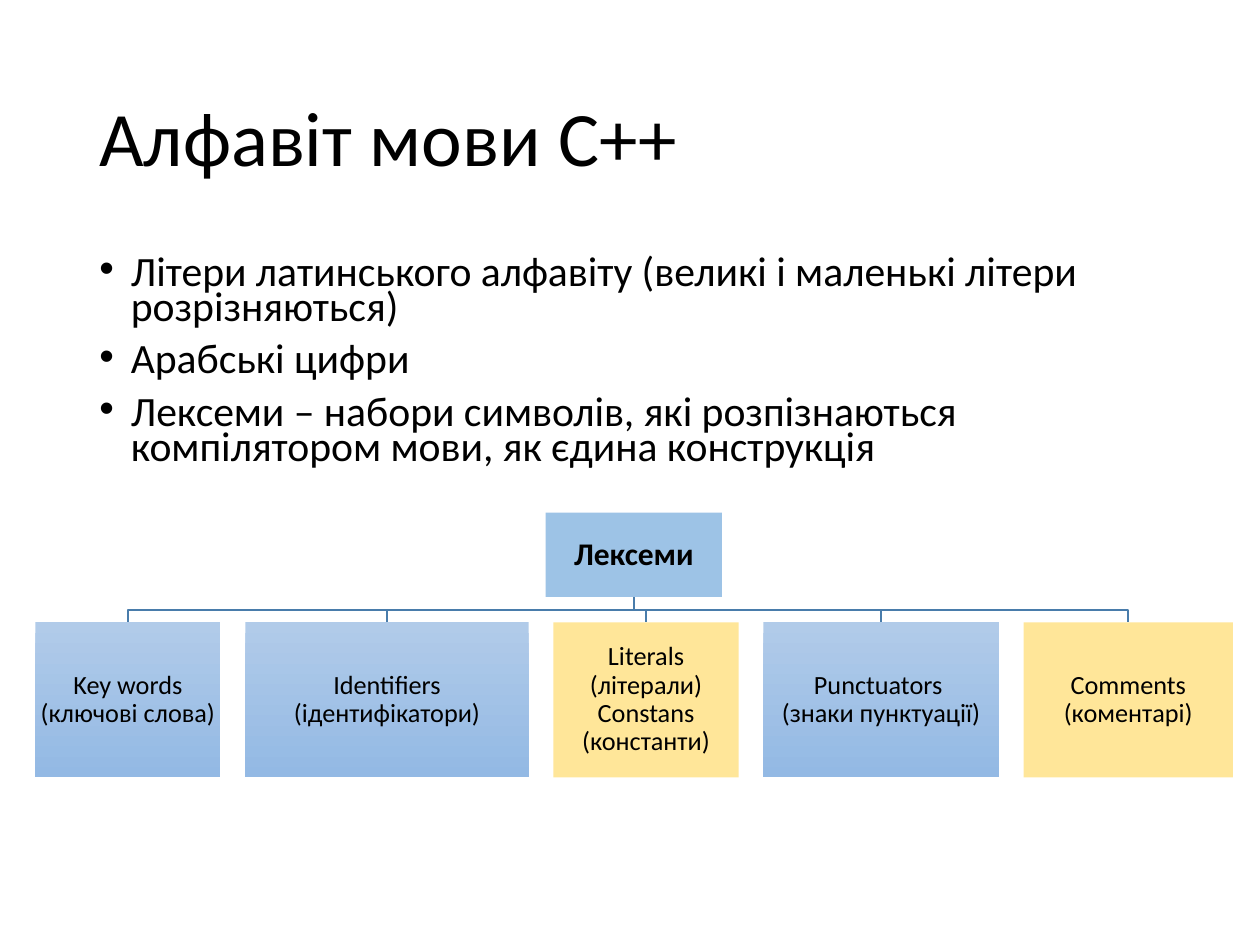
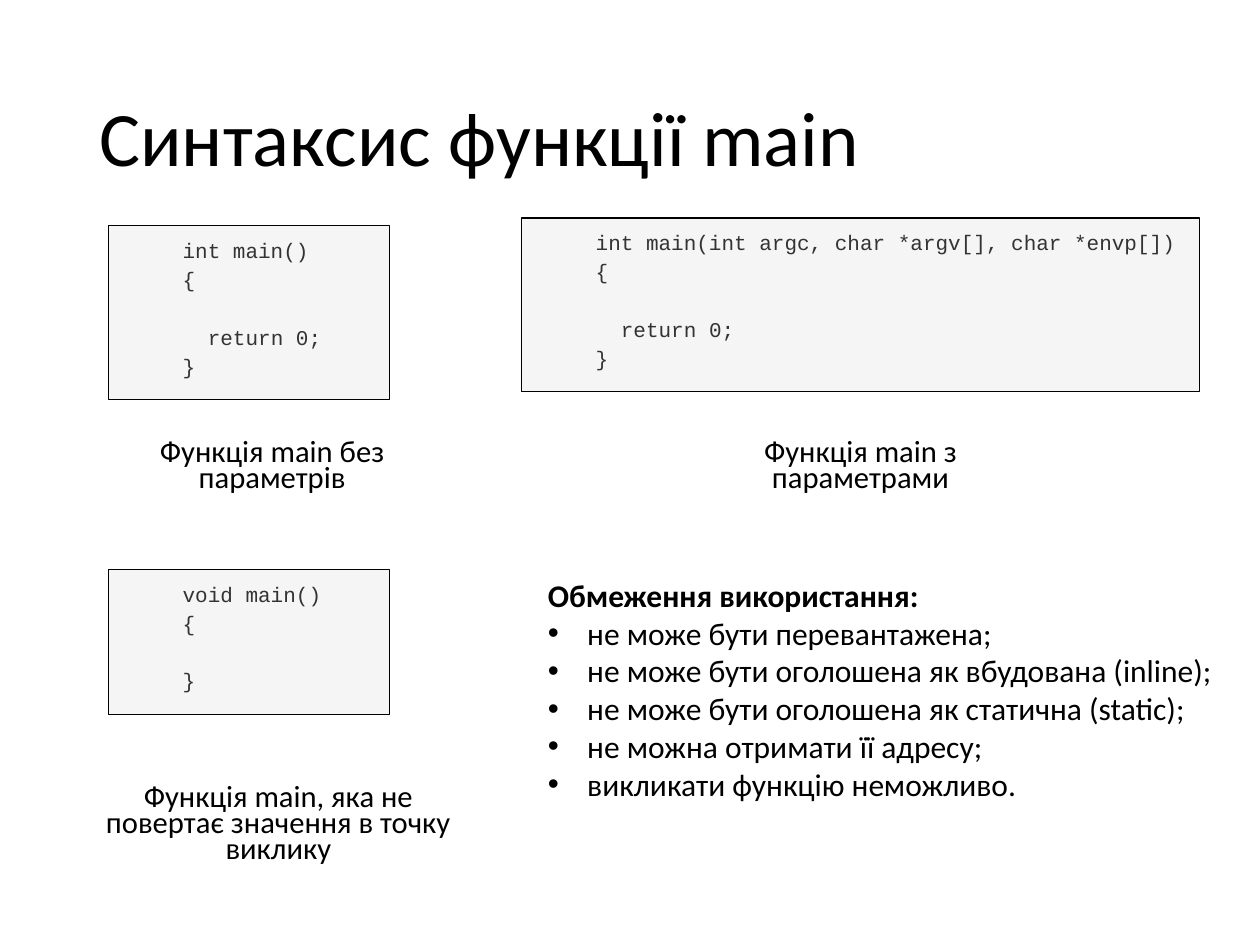
from lxml.etree import SubElement
from pptx import Presentation
from pptx.dml.color import RGBColor
from pptx.enum.shapes import MSO_SHAPE as Kind
from pptx.enum.text import MSO_ANCHOR as Anchor, PP_ALIGN as Align
from pptx.oxml.ns import qn
from pptx.util import Pt

FONT, MONO = "Calibri", "Courier New"
BLACK, CODE, PALE, EDGE = "000000", "333333", "F5F5F5", "497CAB"
ROOT, GOLD, BLUES = "9DC3E6", "FFE699", ("B1CBE9", "93B9E4")
STEP, CHAR = 16.5, 7.2  # line height and letter width of the code


def color(code):
    return RGBColor.from_string(code)


def text(frame, lines, size=18, font=FONT, ink=BLACK, bold=False,
         align=Align.LEFT, lead=1.0, before=0, left=0, hang=0, dot=False):
    """Add one paragraph for each line; left and hang are its indents."""
    for line in lines:
        para = frame.paragraphs[-1]
        if para.runs:
            para = frame.add_paragraph()
        para.text = line
        para.alignment, para.line_spacing = align, lead
        para.space_before = Pt(before)
        props = para._p.get_or_add_pPr()
        props.set("marL", str(Pt(left)))
        props.set("indent", str(Pt(hang)))
        if dot:
            SubElement(props, qn("a:buFont"), typeface="Arial")
            SubElement(props, qn("a:buChar"), char="•")
        for run in para.runs:
            run.font.size, run.font.name = Pt(size), font
            run.font.bold = bold
            run.font.color.rgb = color(ink)


def area(slide, x, y, wide, high, anchor=Anchor.TOP):
    """Add an empty text box and return its frame."""
    frame = slide.shapes.add_textbox(Pt(x), Pt(y), Pt(wide), Pt(high)).text_frame
    frame.word_wrap = True
    frame.vertical_anchor = anchor
    return frame


def title(slide, words):
    frame = area(slide, 49.7, 28.8, 620.6, 104.4, Anchor.MIDDLE)
    text(frame, [words], size=44, lead=0.9)


def box(slide, x, y, wide, high, fill, line=None):
    """Add a filled rectangle; a pair of fills makes a downward gradient."""
    shape = slide.shapes.add_shape(Kind.RECTANGLE, Pt(x), Pt(y), Pt(wide), Pt(high))
    shape.shadow.inherit = False
    if isinstance(fill, tuple):
        shape.fill.gradient()
        shape.fill.gradient_angle = 270
        for stop, code in zip(shape.fill.gradient_stops, fill):
            stop.color.rgb = color(code)
    else:
        shape.fill.solid()
        shape.fill.fore_color.rgb = color(fill)
    if line:
        shape.line.color.rgb = color(line)
        shape.line.width = Pt(0.75)
    else:
        shape.line.fill.background()
    frame = shape.text_frame
    frame.word_wrap = True
    frame.vertical_anchor = Anchor.MIDDLE
    return frame


def node(slide, x, y, wide, high, words, fill, size=15, bold=False):
    frame = box(slide, x, y, wide, high, fill)
    frame.margin_left = frame.margin_right = Pt(0.7)
    frame.margin_top = frame.margin_bottom = Pt(0.7)
    text(frame, [words], size=size, bold=bold, align=Align.CENTER, lead=0.9)


def elbow(slide, x, y, end, low):
    """Draw a branch from (x, y) down to (end, low)."""
    mid = (y + low) / 2
    path = slide.shapes.build_freeform(Pt(x), Pt(y))
    path.add_line_segments(
        [(Pt(x), Pt(mid)), (Pt(end), Pt(mid)), (Pt(end), Pt(low))], close=False)
    shape = path.convert_to_shape()
    shape.shadow.inherit = False
    shape.fill.background()
    shape.line.color.rgb = color(EDGE)
    shape.line.width = Pt(1)


def tree(slide, root, leaves):
    """Draw the root over a row of leaves: (words, width, fill)."""
    mid, top, wide, high = 362.2, 293, 100.8, 48.2
    row, gap, x = 355.7, 14.15, 20.2
    spots = []
    for words, span, fill in leaves:
        spots.append((x, span, words, fill))
        x += span + gap
    for x, span, words, fill in spots:
        elbow(slide, mid, top + high, x + span / 2, row)
    node(slide, mid - wide / 2, top, wide, high, root, ROOT, size=18, bold=True)
    for x, span, words, fill in spots:
        node(slide, x, row, span, 88.6, words, fill)


def code(slide, x, y, wide, high, source):
    """Show code in a box; a blank line becomes space before the next."""
    frame = box(slide, x, y, wide, high, PALE, BLACK)
    frame.margin_top, frame.margin_bottom = Pt(3.6), Pt(11.3)
    gap = 0
    for line in source.split("\n"):
        if not line:
            gap += STEP
            continue
        bare = line.lstrip()
        inset = 35.3 + CHAR * (len(line) - len(bare))
        text(frame, [bare], size=12, font=MONO, ink=CODE, lead=1.15,
             before=gap, hang=inset)
        gap = 0


def label(slide, x, y, wide, high, words):
    text(area(slide, x, y, wide, high), [words], size=17.5,
         align=Align.CENTER, lead=0.7, before=10)


def letters(slide):
    title(slide, "Алфавіт мови С++")
    text(area(slide, 49.7, 144, 620.6, 131), [
        "Літери латинського алфавіту (великі і маленькі літери розрізняються)",
        "Арабські цифри",
        "Лексеми – набори символів, які розпізнаються компілятором мови, "
        "як єдина конструкція",
    ], size=23.8, lead=0.7, before=10, left=18, hang=-18, dot=True)
    tree(slide, "Лексеми", [
        ("Key words (ключові слова)", 105.8, BLUES),
        ("Identifiers (ідентифікатори)", 162, BLUES),
        ("Literals (літерали)\vConstans (константи)", 105.8, GOLD),
        ("Punctuators \v(знаки пунктуації)", 134.6, BLUES),
        ("Comments (коментарі)", 119.5, GOLD),
    ])


def syntax(slide):
    title(slide, "Синтаксис функції main")
    left, wide = 62, 160.5
    code(slide, 298, 124.5, 387.4, 99.4,
         "int main(int argc, char *argv[], char *envp[])\n{\n\n  return 0;\n}")
    code(slide, left, 129, wide, 99.4, "int main()\n{\n\n  return 0;\n}")
    code(slide, left, 325.5, wide, 82.8, "void main()\n{\n\n}")
    label(slide, left, 249, 187.2, 39, "Функція main без параметрів")
    label(slide, 398.2, 249, 187.2, 39, "Функція main з параметрами")
    label(slide, 49.7, 446.4, 218.9, 56,
          "Функція main, яка не повертає значення в точку виклику")
    rules = area(slide, 306, 325.5, 398.9, 138.2)
    text(rules, ["Обмеження використання:"], bold=True)
    text(rules, [
        "не може бути перевантажена;",
        "не може бути оголошена як вбудована (inline);",
        "не може бути оголошена як статична (static);",
        "не можна отримати її адресу;",
        "викликати функцію неможливо.",
    ], left=22.5, hang=-22.5, dot=True)


def main():
    deck = Presentation()
    deck.slide_width, deck.slide_height = Pt(720), Pt(540)
    for build in (letters, syntax):
        build(deck.slides.add_slide(deck.slide_layouts[6]))
    deck.save("out.pptx")


if __name__ == "__main__":
    main()
